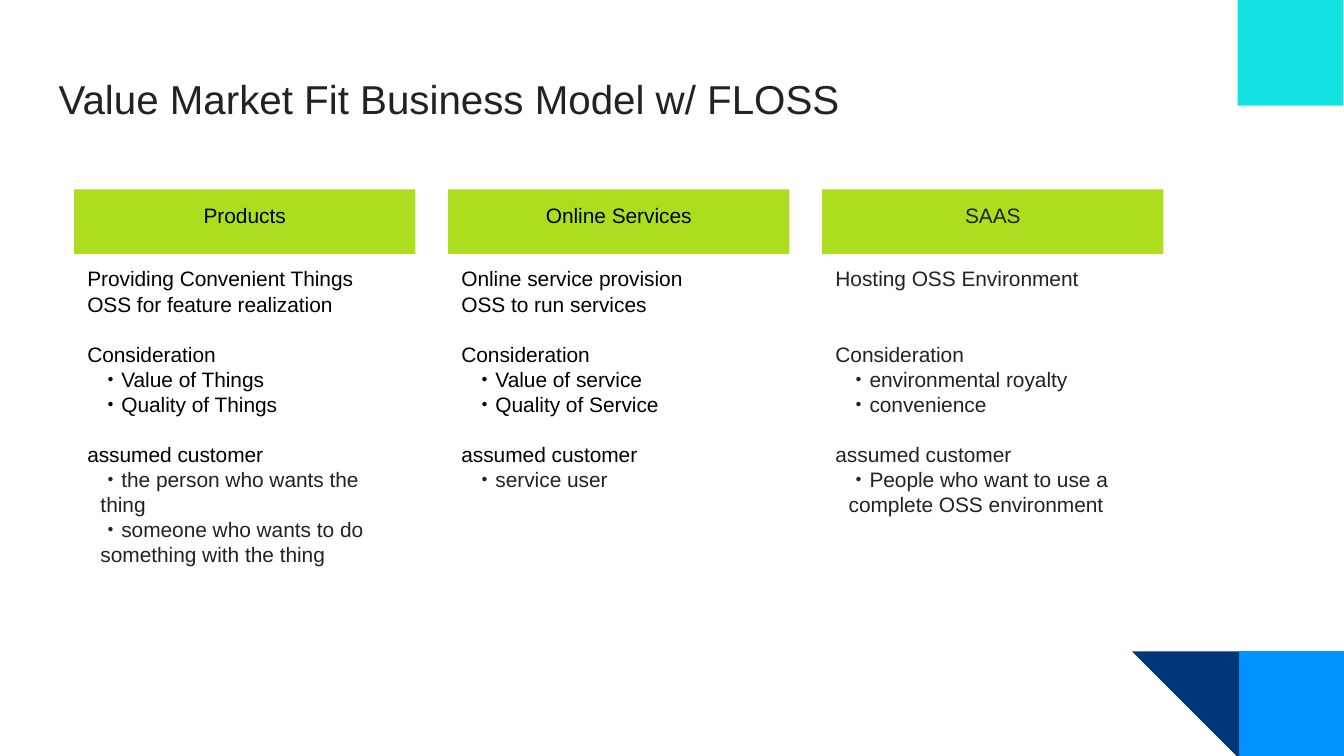
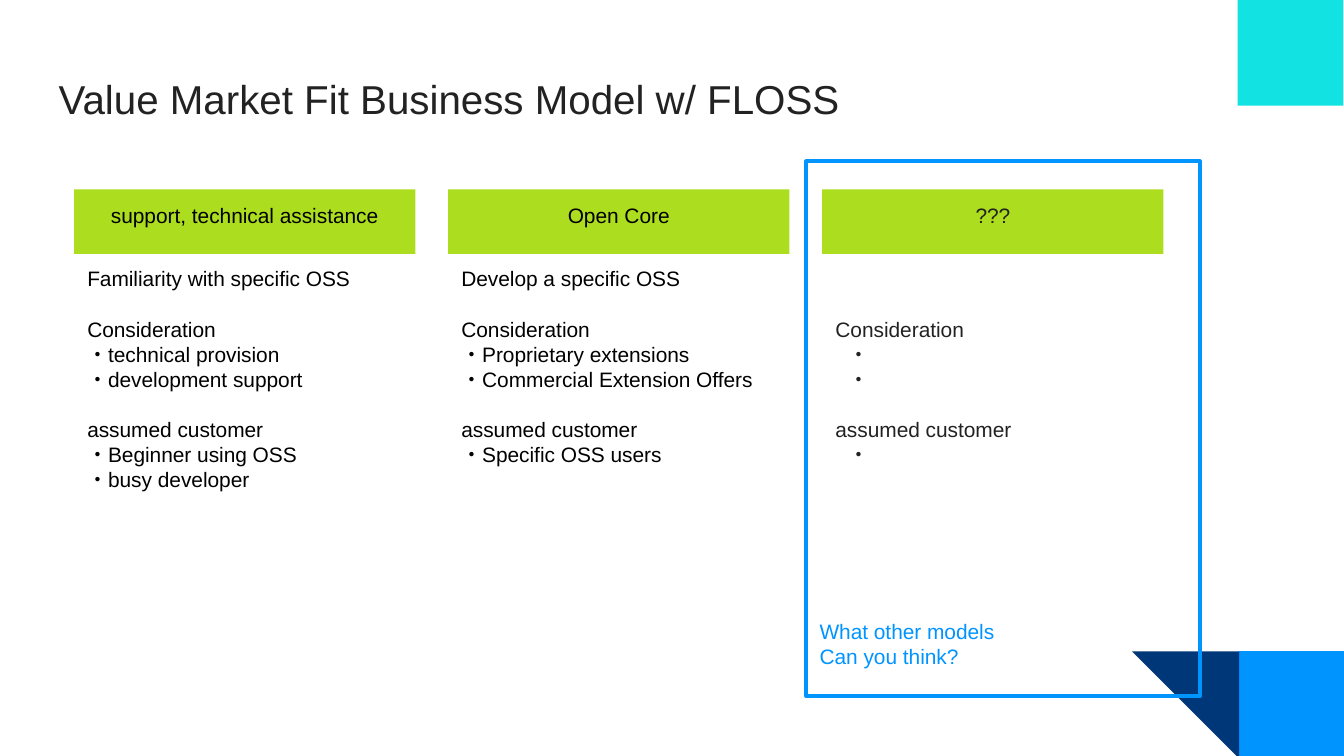
from pptx import Presentation
from pptx.dml.color import RGBColor
from pptx.enum import shapes, text
from pptx.util import Cm, Pt

BLACK = RGBColor(0x00, 0x00, 0x00)
DARK = RGBColor(0x22, 0x22, 0x22)
BLUE = RGBColor(0x00, 0x94, 0xFF)
NAVY = RGBColor(0x00, 0x37, 0x78)
CYAN = RGBColor(0x12, 0xE2, 0xE2)
LIME = RGBColor(0xAC, 0xDE, 0x1F)

FONT = "Arial"
TITLE = "Value Market Fit Business Model w/ FLOSS"
SIZE, LINE = 11.2, 13.45
INSET = 0.25
COL_LEFT, COL_STEP, COL_W = 1.4, 7.07, 6.45
HEAD_TOP, HEAD_H = 3.58, 1.22
BODY_TOP, BODY_H = 4.78, 7.19

RECT = shapes.MSO_SHAPE.RECTANGLE
DECOR = [
    (RECT, 23.41, 12.31, 2, BLUE, 0),
    (shapes.MSO_SHAPE.RIGHT_TRIANGLE, 21.39, 12.31, 2.03, NAVY, 180),
    (RECT, 23.39, 0, 2, CYAN, 0),
]

# Column: heading, heading colour, customer colour, bullet indent,
# blank lines before "Consideration", intro, considerations, customers
SLIDES = [
    [
        ("Products", BLACK, DARK, INSET, 1,
         ["Providing Convenient Things", "OSS for feature realization"],
         ["Value of Things", "Quality of Things"],
         ["the person who wants the thing",
          "someone who wants to do something with the thing"]),
        ("Online Services", BLACK, DARK, INSET, 1,
         ["Online service provision", "OSS to run services"],
         ["Value of service", "Quality of Service"],
         ["service user"]),
        ("SAAS", DARK, DARK, INSET, 2,
         ["Hosting OSS Environment"],
         ["environmental royalty", "convenience"],
         ["People who want to use a complete OSS environment"]),
    ],
    [
        ("support, technical assistance", BLACK, BLACK, 0, 1,
         ["Familiarity with specific OSS"],
         ["technical provision", "development support"],
         ["Beginner using OSS", "busy developer"]),
        ("Open Core", BLACK, BLACK, 0, 1,
         ["Develop a specific OSS"],
         ["Proprietary extensions", "Commercial Extension Offers"],
         ["Specific OSS users"]),
        ("???", DARK, DARK, INSET, 2, [], ["", ""], [""]),
    ],
]


def add_panel(s, kind, left, top, width, height, fill=None, line=None):
    """Add a flat preset shape; without a fill or line colour that part is off."""
    sp = s.shapes.add_shape(kind, Cm(left), Cm(top), Cm(width), Cm(height))
    sp.shadow.inherit = False
    if fill is None:
        sp.fill.background()
    else:
        sp.fill.solid()
        sp.fill.fore_color.rgb = fill
    if line is None:
        sp.line.fill.background()
    else:
        sp.line.color.rgb = line
        sp.line.width = Pt(2)
    return sp


def write(sp, rows, size=SIZE, line=LINE, inset_y=INSET, align=text.PP_ALIGN.LEFT):
    """Fill a shape with rows of (text, colour, indent in cm, blank lines before)."""
    tf = sp.text_frame
    tf.word_wrap = True
    tf.vertical_anchor = text.MSO_ANCHOR.TOP
    tf.margin_left = tf.margin_right = Cm(INSET)
    tf.margin_top = tf.margin_bottom = Cm(inset_y)
    for i, (words, color, indent, gap) in enumerate(rows):
        p = tf.add_paragraph() if i else tf.paragraphs[0]
        p.text = words
        p.alignment = align
        p.line_spacing = Pt(line)
        if gap:
            p.space_before = Pt(gap * line)
        if indent:
            pPr = p._p.get_or_add_pPr()
            pPr.set("marL", str(Cm(indent)))
            pPr.set("indent", "0")
        for r in p.runs:
            r.font.name = FONT
            r.font.size = Pt(size)
            r.font.color.rgb = color


prs = Presentation()
prs.slide_width, prs.slide_height = Cm(25.4), Cm(14.29)

for columns in SLIDES:
    s = prs.slides.add_slide(prs.slide_layouts[6])
    for kind, left, top, side, color, turn in DECOR:
        add_panel(s, kind, left, top, side, side, color).rotation = turn
    sp = s.shapes.add_textbox(Cm(0.86), Cm(1.14), Cm(23.67), Cm(1.68))
    write(sp, [(TITLE, DARK, 0, 0)], size=21.6, line=26.5)

    for i, column in enumerate(columns):
        name, color, customer_color, indent, gap, intro, considered, customers = column
        left = COL_LEFT + i * COL_STEP
        sp = add_panel(s, RECT, left, HEAD_TOP, COL_W, HEAD_H, LIME)
        write(sp, [(name, color, 0, 0)], align=text.PP_ALIGN.CENTER)

        # With no intro, the body box itself moves down by the gap
        drop = 0 if intro else Pt(gap * LINE).cm
        rows = [(words, color, 0, 0) for words in intro]
        rows.append(("Consideration", color, 0, gap if intro else 0))
        rows += [("・" + words, color, indent, 0) for words in considered]
        rows.append(("assumed customer", color, 0, 1))
        rows += [("・" + words, customer_color, indent, 0) for words in customers]
        sp = s.shapes.add_textbox(Cm(left), Cm(BODY_TOP + drop),
                                  Cm(COL_W), Cm(BODY_H - drop))
        write(sp, rows)

# Open question around the last column of the last slide
add_panel(s, RECT, 15.24, 3.05, 7.44, 10.11, line=BLUE)
sp = s.shapes.add_textbox(Cm(15.24), Cm(11.56), Cm(5.44), Cm(1.45))
write(sp, [("What other models", BLUE, 0, 0), ("Can you think?", BLUE, 0, 0)],
      inset_y=0.13)

prs.save("out.pptx")
